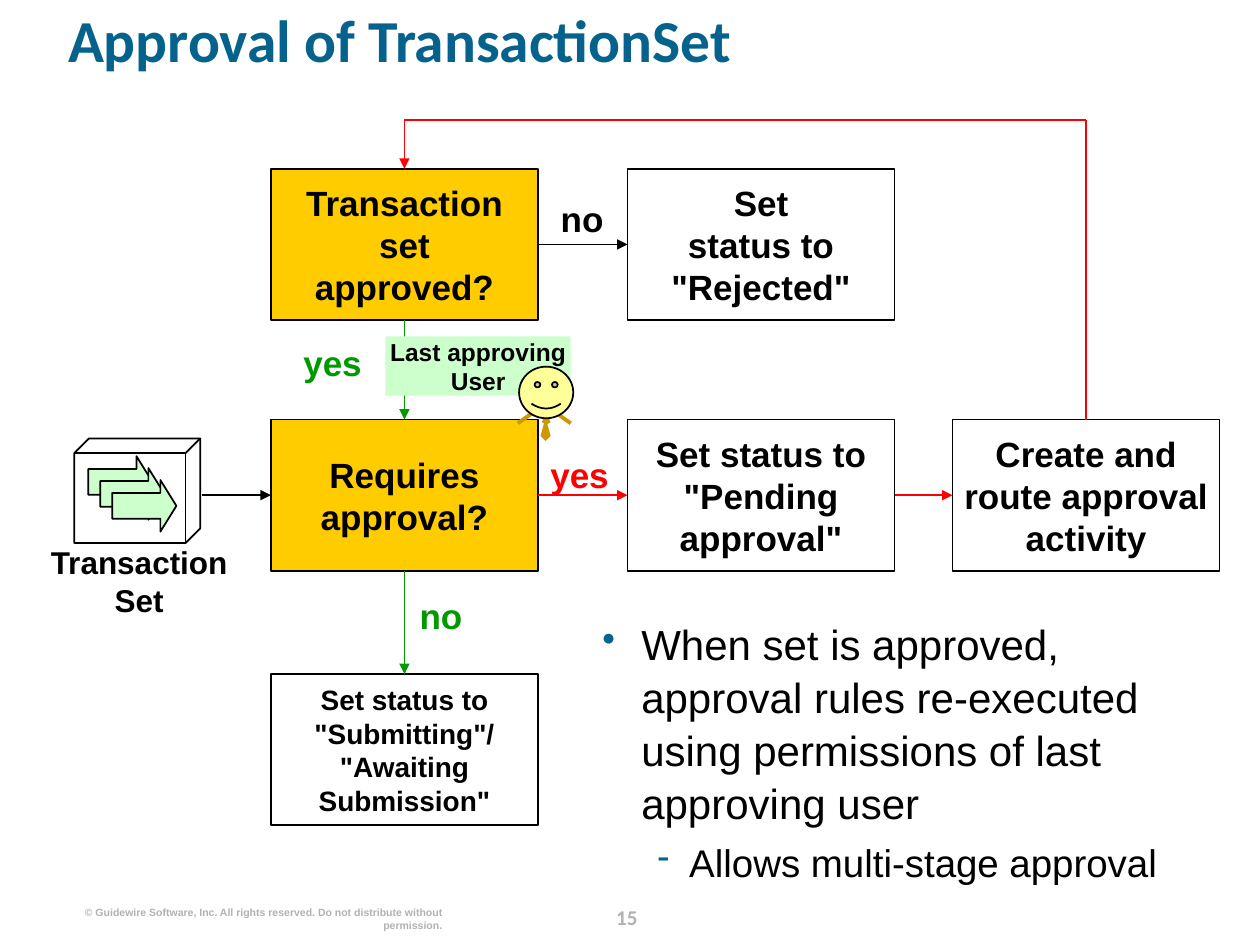
from dataclasses import dataclass

from lxml import etree
from pptx import Presentation
from pptx import util as u
from pptx.dml.color import RGBColor
from pptx.enum import shapes, text
from pptx.oxml import ns

COLUMNS, ROWS = 100, 75
CELL = 0.1  # inches
TOP, LEFT, BOTTOM, RIGHT = range(4)  # connection sites of a rectangle
SHAPE = shapes.MSO_SHAPE
ALIGN = text.PP_ALIGN
ANCHOR = text.MSO_ANCHOR


@dataclass(frozen=True)
class Theme:
    body_font: str = "Arial"
    head_font: str = "Calibri"
    accent: str = "04628C"
    ink: str = "000000"
    muted: str = "B2B2B2"
    decision: str = "FFCC00"
    mint: str = "CCFFCC"
    yes: str = "009900"
    pending: str = "FF0000"
    face: str = "FFFF99"
    tie: str = "CC9900"
    title: int = 34
    bullet: int = 24
    sub_bullet: int = 22
    step: int = 20
    caption: int = 18
    long_step: int = 16
    tag: int = 14
    page: int = 12
    legal: int = 6


THEME = Theme()


@dataclass(frozen=True)
class Box:
    """A rectangle in grid cells."""
    left: float
    top: float
    width: float
    height: float

    def inner(self, left, top, width, height):
        return Box(self.left + left, self.top + top, width, height)

    def emu(self):
        return [cells(v) for v in (self.left, self.top, self.width, self.height)]


def cells(count):
    return u.Inches(count * CELL)


def rgb(color):
    return RGBColor.from_string(color)


def write(paragraph, words, size, color=THEME.ink, bold=True,
          font=THEME.body_font, align=ALIGN.CENTER):
    paragraph.text = words
    paragraph.alignment = align
    style = paragraph.font
    style.name, style.size, style.bold = font, u.Pt(size), bold
    style.color.rgb = rgb(color)


def frame_of(shape, anchor, inset=0):
    frame = shape.text_frame
    frame.word_wrap = True
    frame.vertical_anchor = anchor
    frame.margin_left = frame.margin_right = cells(inset)
    frame.margin_top = frame.margin_bottom = 0
    return frame


def add_text(slide, box, words, size, **style):
    frame = frame_of(slide.shapes.add_textbox(*box.emu()), ANCHOR.TOP)
    write(frame.paragraphs[0], words, size, **style)
    return frame


def paint(shape, fill=None, line=THEME.ink):
    shape.shadow.inherit = False
    if fill:
        shape.fill.solid()
        shape.fill.fore_color.rgb = rgb(fill)
    else:
        shape.fill.background()
    if line:
        shape.line.color.rgb = rgb(line)
        shape.line.width = u.Pt(1)
    else:
        shape.line.fill.background()


def add_shape(slide, box, kind, fill=None, line=THEME.ink, adjust=()):
    shape = slide.shapes.add_shape(kind, *box.emu())
    paint(shape, fill, line)
    for index, value in enumerate(adjust):
        shape.adjustments[index] = value
    return shape


def add_step(slide, box, words, fill=None, size=THEME.step, inset=1.5, line=THEME.ink):
    step = add_shape(slide, box, SHAPE.RECTANGLE, fill, line)
    write(frame_of(step, ANCHOR.MIDDLE, inset).paragraphs[0], words, size)
    return step


def add_line(slide, start, end, color, width=1.0, head=True):
    """Each end is a grid point (x, y) or a pair (shape, connection site)."""
    ends = [start, end]
    glued = [not isinstance(e[0], (int, float)) for e in ends]
    points = [(0, 0) if g else (cells(e[0]), cells(e[1])) for e, g in zip(ends, glued)]
    line = slide.shapes.add_connector(shapes.MSO_CONNECTOR.STRAIGHT, *points[0], *points[1])
    if glued[0]:
        line.begin_connect(*start)
    if glued[1]:
        line.end_connect(*end)
    line.line.color.rgb = rgb(color)
    line.line.width = u.Pt(width)
    props = line._element.spPr
    if head:
        etree.SubElement(props.find(ns.qn("a:ln")), ns.qn("a:tailEnd"), type="triangle")
    etree.SubElement(props, ns.qn("a:effectLst"))


def add_flow(slide, box):
    columns, rows = (0, 28.3, 54.1), (3.9, 23.8, 44)

    def cell(column, row):
        return box.inner(columns[column], rows[row], 21.2, 12)

    approved = add_step(slide, cell(0, 0), "Transaction set approved?", THEME.decision)
    rejected = add_step(slide, cell(1, 0), "Set\nstatus to \"Rejected\"")
    required = add_step(slide, cell(0, 1), "Requires approval?", THEME.decision)
    pending = add_step(slide, cell(1, 1), "Set status to \"Pending approval\"")
    activity = add_step(slide, cell(2, 1), "Create and route approval activity", inset=0.5)
    submitting = add_step(slide, cell(0, 2), "Set status to \"Submitting\"/\n\"Awaiting Submission\"",
                          size=THEME.long_step, inset=1.2)

    loop_right = (box.left + columns[2] + 10.6, box.top)
    loop_left = (box.left + 10.6, box.top)
    for start, end, color, head in (
        ((approved, RIGHT), (rejected, LEFT), THEME.ink, True),
        ((approved, BOTTOM), (required, TOP), THEME.yes, True),
        ((required, RIGHT), (pending, LEFT), THEME.pending, True),
        ((required, BOTTOM), (submitting, TOP), THEME.yes, True),
        ((pending, RIGHT), (activity, LEFT), THEME.pending, True),
        ((activity, TOP), loop_right, THEME.pending, False),
        (loop_right, loop_left, THEME.pending, False),
        (loop_left, (approved, TOP), THEME.pending, True),
        ((16, box.top + rows[1] + 6), (required, LEFT), THEME.ink, True),
    ):
        add_line(slide, start, end, color, head=head)

    for left, top, words, color in (
        (21.4, 6.2, "no", THEME.ink), (1.6, 17.6, "yes", THEME.yes),
        (21.2, 26.5, "yes", THEME.pending), (10.2, 37.7, "no", THEME.yes),
    ):
        add_text(slide, box.inner(left, top, 6.6, 3.3), words, THEME.step, color=color)


def add_transaction_set(slide, box):
    for index in range(3):
        offset = 0.95 * index
        add_shape(slide, box.inner(3.3 + offset, 1.4 + offset, 5.1, 4.1), SHAPE.RIGHT_ARROW,
                  THEME.mint, adjust=(0.5, 0.31))
    add_shape(slide, box.inner(2.2, 0, 10, 8.3), SHAPE.CUBE, adjust=(0.14,))
    add_text(slide, box.inner(0, 8.3, box.width, 6), "Transaction\nSet", THEME.caption)


def add_approver(slide, box):
    add_step(slide, box.inner(0, 0, 14.7, 4.7), "Last approving User", THEME.mint,
             THEME.tag, inset=0, line=None)
    neck = box.left + 12.6
    for side in (1, -1):
        add_line(slide, (neck + 0.7 * side, box.top + 5.9), (neck + 2.1 * side, box.top + 6.9),
                 THEME.tie, width=2.25, head=False)
    knot = add_shape(slide, box.inner(12.4, 6.5, 0.7, 0.5), SHAPE.REGULAR_PENTAGON,
                     THEME.tie, line=None)
    knot.rotation = 180
    outline = [(cells(neck + x), cells(box.top + y)) for x, y in
               ((0, 6.8), (-0.3, 7.9), (0.1, 8.3), (0.5, 7.9), (0.2, 6.8))]
    tie = slide.shapes.build_freeform(*outline[0])
    tie.add_line_segments(outline[1:])
    paint(tie.convert_to_shape(), THEME.tie, line=None)
    add_shape(slide, box.inner(10.6, 2.4, 4.3, 4.1), SHAPE.SMILEY_FACE, THEME.face, adjust=(0.05,))


def add_bullet(paragraph, mark, margin, indent):
    props = paragraph._p.get_or_add_pPr()
    props.set("marL", str(cells(margin)))
    props.set("indent", str(-cells(indent)))
    color = etree.SubElement(props, ns.qn("a:buClr"))
    etree.SubElement(color, ns.qn("a:srgbClr"), val=THEME.accent)
    etree.SubElement(props, ns.qn("a:buSzPct"), val="90000")
    etree.SubElement(props, ns.qn("a:buChar"), char=mark)


def add_notes(slide, box):
    frame = frame_of(slide.shapes.add_textbox(*box.emu()), ANCHOR.TOP)
    point, detail = frame.paragraphs[0], frame.add_paragraph()
    detail.level = 1
    detail.space_before = u.Pt(5)
    for paragraph, mark, margin, indent, size, words in (
        (point, "•", 3.1, 3.1, THEME.bullet, "When set is approved, approval rules "
         "re-executed using permissions of last approving user"),
        (detail, "-", 6.9, 2.5, THEME.sub_bullet, "Allows multi-stage approval"),
    ):
        paragraph.line_spacing = 1.05
        add_bullet(paragraph, mark, margin, indent)
        write(paragraph, words, size, bold=False, align=ALIGN.LEFT)


def add_title(slide, box):
    title = add_text(slide, box, "Approval of TransactionSet", THEME.title, color=THEME.accent,
                     font=THEME.head_font, align=ALIGN.LEFT)
    title.paragraphs[0].line_spacing = 0.8


def add_footer(slide, box):
    add_text(slide, box.inner(0, 0.6, 29, 2), "© Guidewire Software, Inc. All rights reserved. "
             "Do not distribute without permission.", THEME.legal, color=THEME.muted,
             align=ALIGN.RIGHT)
    page = add_text(slide, box.inner(40.8, 0, 5.7, 2.5), "15", THEME.page, color=THEME.muted,
                    font=THEME.head_font)
    page.paragraphs[0].line_spacing = u.Pt(18)


def main():
    deck = Presentation()
    deck.slide_width, deck.slide_height = cells(COLUMNS), cells(ROWS)
    slide = deck.slides.add_slide(deck.slide_layouts[6])
    add_title(slide, Box(5.4, 1.3, 91, 8.1))
    add_flow(slide, Box(21.5, 9.5, 75.3, 56))
    add_transaction_set(slide, Box(3.7, 34.8, 14.7, 14.3))
    add_approver(slide, Box(30.6, 26.7, 14.9, 8.3))
    add_notes(slide, Box(47.8, 48.9, 49.2, 21.1))
    add_footer(slide, Box(6.1, 71.3, 46.5, 2.6))
    deck.save("out.pptx")


if __name__ == "__main__":
    main()
